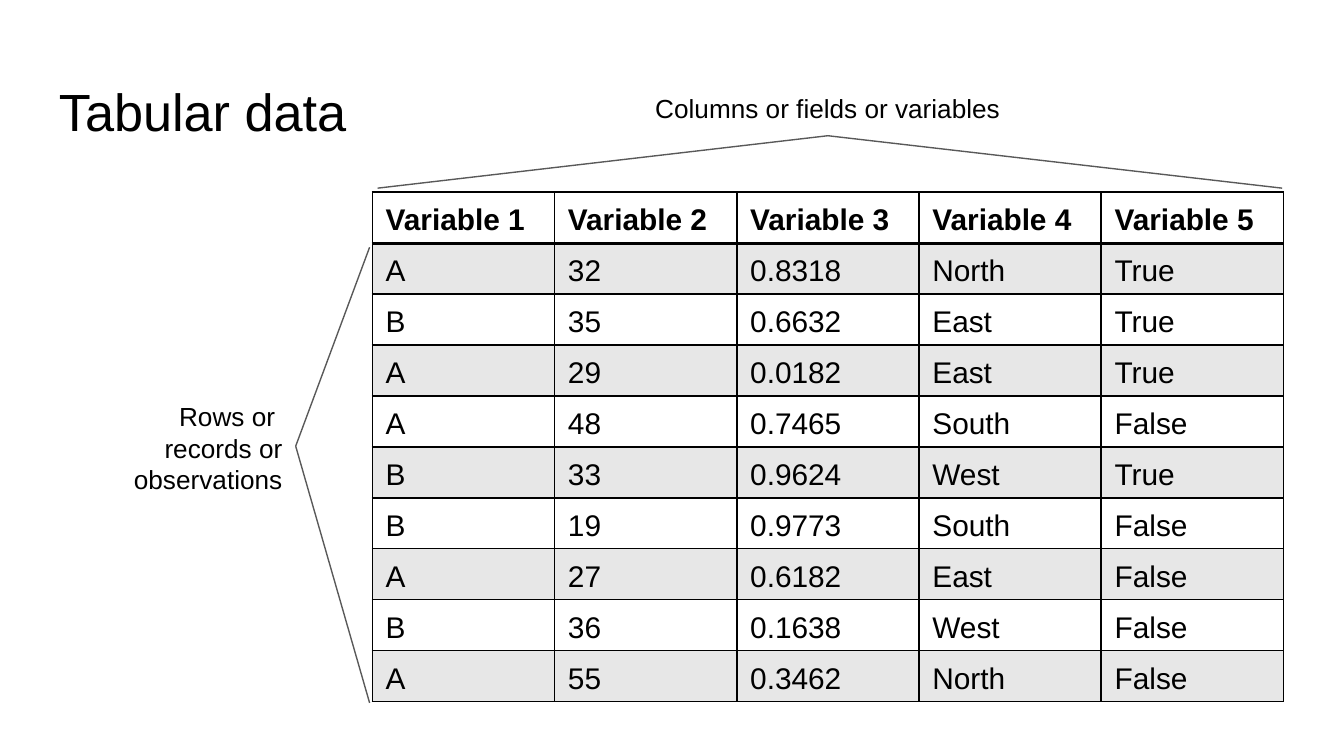
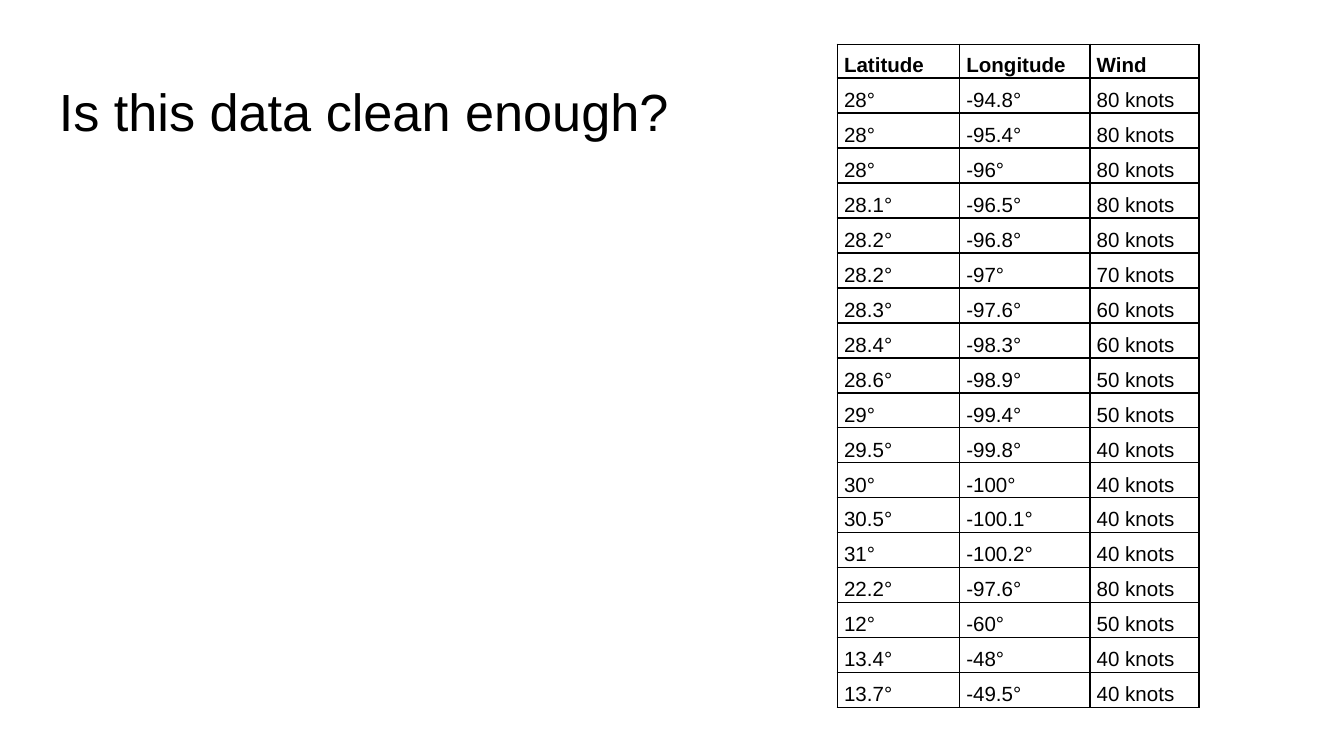
import pptx
import pptx.dml.color
import pptx.enum.shapes
import pptx.enum.text
import pptx.oxml
import pptx.oxml.ns
import pptx.util

Inches, Pt = pptx.util.Inches, pptx.util.Pt
RGBColor = pptx.dml.color.RGBColor
ALIGN, ANCHOR = pptx.enum.text.PP_ALIGN, pptx.enum.text.MSO_ANCHOR

BLACK = RGBColor(0x00, 0x00, 0x00)
BAND = RGBColor(0xE7, 0xE7, 0xE7)
GRAY = RGBColor(0x59, 0x59, 0x59)
FONT = "Arial"
TITLE_BOX = (0.34, 0.49, 9.32, 0.63)
BOTTOM, RIGHT = 2, 3  # connection sites of a rectangle

VARIABLES = [
    ("Variable 1", "Variable 2", "Variable 3", "Variable 4", "Variable 5"),
    ("A", "32", "0.8318", "North", "True"),
    ("B", "35", "0.6632", "East", "True"),
    ("A", "29", "0.0182", "East", "True"),
    ("A", "48", "0.7465", "South", "False"),
    ("B", "33", "0.9624", "West", "True"),
    ("B", "19", "0.9773", "South", "False"),
    ("A", "27", "0.6182", "East", "False"),
    ("B", "36", "0.1638", "West", "False"),
    ("A", "55", "0.3462", "North", "False"),
]
# latitude and longitude in degrees, wind in knots
STORM = [
    ("28", "-94.8", 80), ("28", "-95.4", 80), ("28", "-96", 80),
    ("28.1", "-96.5", 80), ("28.2", "-96.8", 80), ("28.2", "-97", 70),
    ("28.3", "-97.6", 60), ("28.4", "-98.3", 60), ("28.6", "-98.9", 50),
    ("29", "-99.4", 50), ("29.5", "-99.8", 40), ("30", "-100", 40),
    ("30.5", "-100.1", 40), ("31", "-100.2", 40), ("22.2", "-97.6", 80),
    ("12", "-60", 50), ("13.4", "-48", 40), ("13.7", "-49.5", 40),
]
VARIABLE_CELL = dict(margin_left=Inches(0.1), margin_top=Inches(0.05),
                     margin_right=Inches(0.1), margin_bottom=Inches(0.01),
                     vertical_anchor=ANCHOR.TOP)
STORM_CELL = dict(margin_left=Inches(0.05), margin_top=Inches(0.01),
                  margin_right=Inches(0.01), margin_bottom=Inches(0.01),
                  vertical_anchor=ANCHOR.BOTTOM)


def apply(obj, values):
    for name, value in values.items():
        setattr(obj, name, value)


def style_font(font, size, bold=False):
    apply(font, dict(name=FONT, size=Pt(size), bold=bold))
    font.color.rgb = BLACK


def add_text(slide, box, text, size, align=ALIGN.LEFT):
    sp = slide.shapes.add_textbox(*map(Inches, box))
    tf = sp.text_frame
    apply(tf, dict(word_wrap=True, vertical_anchor=ANCHOR.TOP,
                   margin_left=Inches(0.1), margin_right=Inches(0.1),
                   margin_top=Inches(0.1), margin_bottom=Inches(0.1)))
    p = tf.paragraphs[0]
    p.text = text
    p.alignment = align
    for r in p.runs:
        style_font(r.font, size)
    return sp


def add_bracket(slide, label, site, ends):
    """Draw a line from one side of the label to each end."""
    for x, y in ends:
        line = slide.shapes.add_connector(
            pptx.enum.shapes.MSO_CONNECTOR.STRAIGHT, 0, 0, Inches(x), Inches(y))
        line.begin_connect(label, site)
        line.line.color.rgb = GRAY
        line.line.width = Pt(0.75)
        line._element.spPr.append(pptx.oxml.parse_xml(
            f'<a:effectLst {pptx.oxml.ns.nsdecls("a")}/>'))


def set_borders(cell, widths):
    """Put borders on a cell; widths maps L, R, T and B to points."""
    tcPr = cell._tc.get_or_add_tcPr()
    for i, side in enumerate("LRTB"):
        tcPr.insert(i, pptx.oxml.parse_xml(
            f'<a:ln{side} {pptx.oxml.ns.nsdecls("a")} w="{Pt(widths[side])}">'
            f'<a:solidFill><a:srgbClr val="{BLACK}"/></a:solidFill></a:ln{side}>'))


def add_grid(slide, box, rows, col_widths, header_height, size, cell_format,
             spacing=1.0, band=None, header_rule=1):
    left, top, width, height = map(Inches, box)
    table = slide.shapes.add_table(
        len(rows), len(col_widths), left, top, width, height).table
    table.horz_banding = False
    for col, w in zip(table.columns, col_widths):
        col.width = Inches(w)
    header = Inches(header_height)
    body = (height - header) // (len(rows) - 1)
    for i, row in enumerate(rows):
        table.rows[i].height = body if i else header
        for j, text in enumerate(row):
            cell = table.cell(i, j)
            apply(cell, cell_format)
            if band and i % 2:
                cell.fill.solid()
                cell.fill.fore_color.rgb = band
            else:
                cell.fill.background()
            set_borders(cell, dict(L=1, R=1, T=header_rule if i == 1 else 1,
                                   B=header_rule if i == 0 else 1))
            p = cell.text_frame.paragraphs[0]
            p.line_spacing = spacing
            r = p.add_run()
            r.text = text
            style_font(r.font, size, bold=i == 0)


def new_slide(prs, title):
    slide = prs.slides.add_slide(prs.slide_layouts[6])
    add_text(slide, TITLE_BOX, title, 28)
    return slide


def tabular_slide(prs, box):
    slide = new_slide(prs, "Tabular data")
    left, top, width, height = box
    label = add_text(slide, (left - 2.25, top + 1.45, 1.68, 0.88),
                     "Rows or \vrecords or observations", 14, ALIGN.RIGHT)
    add_bracket(slide, label, RIGHT, [(left - 0.02, top + height + 0.01),
                                      (left - 0.02, top + 0.41)])
    label = add_text(slide, (left + width / 2 - 1.88, top - 0.84, 3.76, 0.42),
                     "Columns or fields or variables", 14, ALIGN.CENTER)
    add_bracket(slide, label, BOTTOM, [(left + 0.04, top - 0.03),
                                       (left + width - 0.01, top - 0.03)])
    add_grid(slide, box, VARIABLES, [width / 5] * 5, 0.38, 16, VARIABLE_CELL,
             spacing=1.15, band=BAND, header_rule=2)


def storm_slide(prs, box):
    slide = new_slide(prs, "Is this data clean enough?")
    rows = [("Latitude", "Longitude", "Wind")]
    rows += [(f"{lat}°", f"{lon}°", f"{wind} knots") for lat, lon, wind in STORM]
    add_grid(slide, box, rows, (0.91, 0.97, 0.81), 0.25, 11, STORM_CELL)


def main():
    prs = pptx.Presentation()
    prs.slide_width = Inches(10)
    prs.slide_height = prs.slide_width * 9 // 16
    tabular_slide(prs, (2.77, 1.43, 6.78, 3.79))
    storm_slide(prs, (6.23, 0.33, 2.69, 4.94))
    prs.save("out.pptx")


if __name__ == "__main__":
    main()
